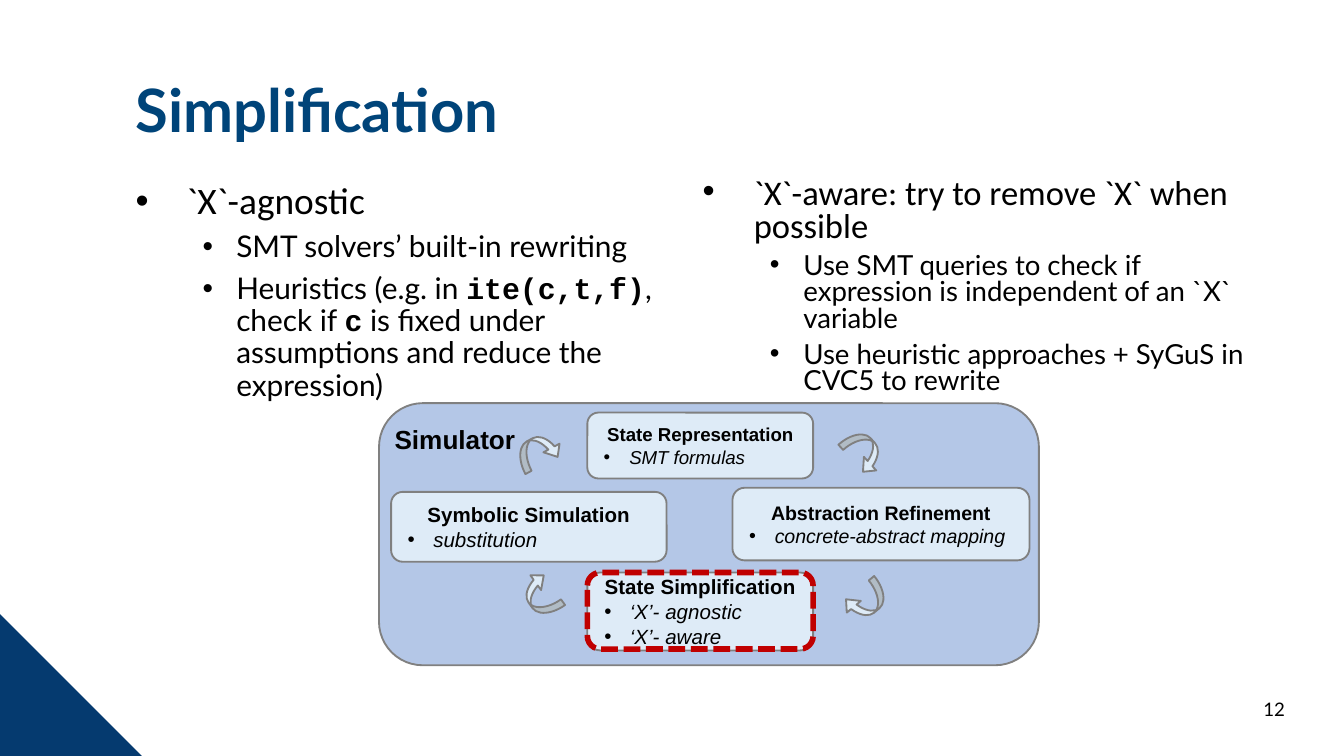
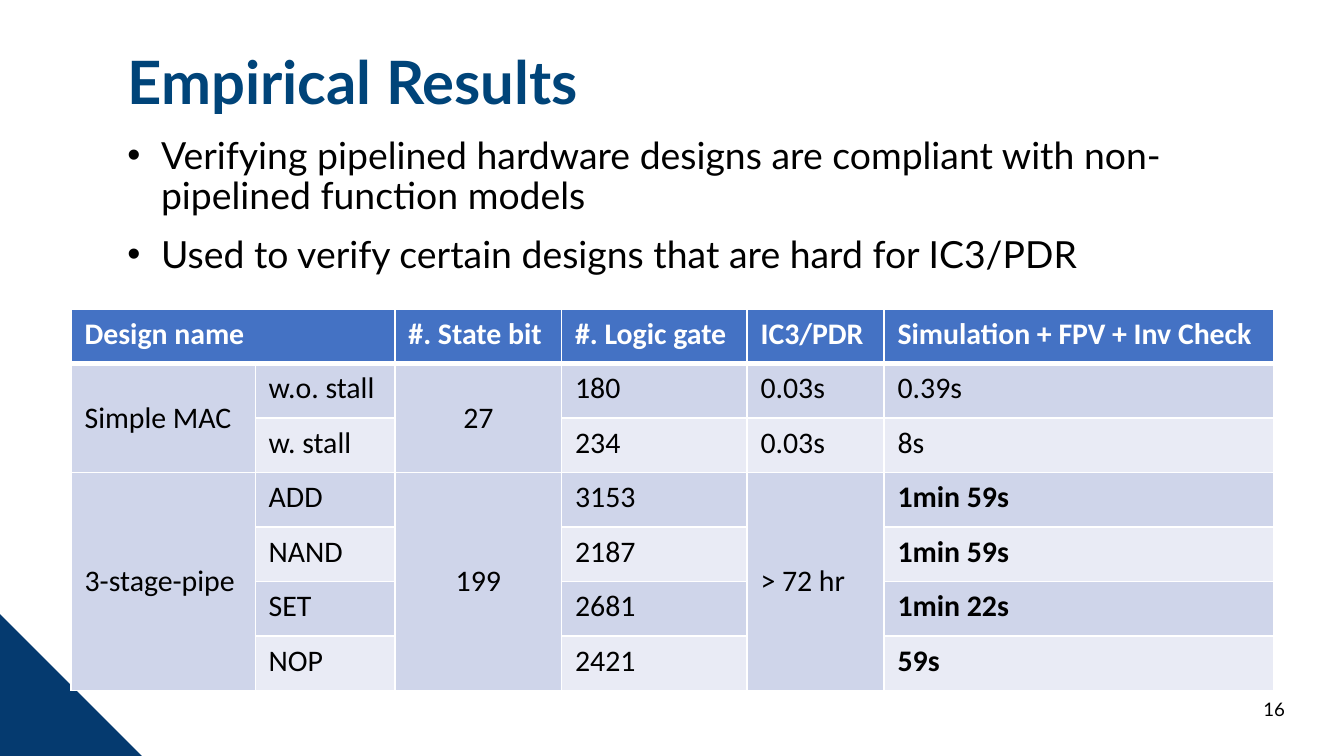
from lxml import etree
from pptx import Presentation
from pptx.dml.color import RGBColor
from pptx.enum import dml, shapes, text
from pptx.oxml import ns
from pptx import util as u

PX = 9144
NAVY, TITLE_BLUE, BLACK, WHITE = "053A6F", "004479", "000000", "FFFFFF"
PANEL, PALE, GRAY, RED = "B4C7E7", "DEEBF7", "808080", "C00000"
HEADER, BAND_DARK, BAND_LIGHT = "4472C4", "CFD5EA", "E9EBF5"
LEFT, CENTER, RIGHT = text.PP_ALIGN.LEFT, text.PP_ALIGN.CENTER, text.PP_ALIGN.RIGHT
MIDDLE = text.MSO_ANCHOR.MIDDLE
KIND = shapes.MSO_SHAPE
ink = RGBColor.from_string


def write(frame, words, font="Lato", size=16, color=BLACK, bold=False, italic=False,
          align=LEFT, hang=0, indent=0, level=0, leading=None, before=None):
    paragraph = frame.paragraphs[-1]
    if paragraph.runs:
        paragraph = frame.add_paragraph()
    paragraph.alignment, paragraph.level = align, level
    if leading:
        paragraph.line_spacing = leading
    if before:
        paragraph.space_before = u.Pt(before)
    if hang:
        props = paragraph._p.get_or_add_pPr()
        props.set("marL", str(indent * PX))
        props.set("indent", str(-hang * PX))
        etree.SubElement(props, ns.qn("a:buFont"), typeface="Arial")
        etree.SubElement(props, ns.qn("a:buChar"), char="•")
    for number, piece in enumerate(words.split("|")):
        is_code = number % 2 == 1
        run = paragraph.add_run()
        run.text = piece
        run.font.name = "Courier New" if is_code else font
        run.font.size = u.Pt(size)
        run.font.bold = bold or is_code
        run.font.italic = italic
        run.font.color.rgb = ink(color)


def draw(slide, kind, at, fill=None, line=None, weight=1, turn=0, adjust=()):
    box = [length * PX for length in at]
    if kind is None:
        shape = slide.shapes.add_textbox(*box)
    else:
        shape = slide.shapes.add_shape(kind, *box)
        shape.shadow.inherit = False
        shape.rotation = turn
        for number, value in enumerate(adjust):
            shape.adjustments[number] = value
        if fill:
            shape.fill.solid()
            shape.fill.fore_color.rgb = ink(fill)
        else:
            shape.fill.background()
        if line:
            shape.line.color.rgb = ink(line)
            shape.line.width = u.Pt(weight)
        else:
            shape.line.fill.background()
    shape.text_frame.word_wrap = True
    return shape


deck = Presentation()
deck.slide_width = 1000 * PX
deck.slide_height = deck.slide_width * 9 // 16

pages = []
for heading, left, top, page_number in [("Simplification", 91, 53, "12"),
                                        ("Empirical Results", 85, 32, "16")]:
    page = deck.slides.add_slide(deck.slide_layouts[6])
    draw(page, KIND.RIGHT_TRIANGLE, (-1, 456, 107, 107), fill=NAVY)
    title = draw(page, None, (left, top, 859, 63)).text_frame
    title.vertical_anchor = MIDDLE
    write(title, heading, size=32, color=TITLE_BLUE, bold=True, leading=0.9)
    footer = draw(page, None, (733, 514, 233, 30)).text_frame
    write(footer, page_number, size=10, align=RIGHT)
    pages.append(page)
simplification, results = pages

approaches = [
    ((91, 131, 442, 163), 0.9, 20, 16, "`X`-agnostic",
     ["SMT solvers’ built-in rewriting",
      "Heuristics (e.g. in |ite(c,t,f)|, check if |c| is fixed under assumptions "
      "and reduce the expression)"]),
    ((513, 128, 442, 163), 0.8, 18.5, 14.8, "`X`-aware: try to remove `X` when possible",
     ["Use SMT queries to check if expression is independent of an `X` variable",
      "Use heuristic approaches + SyGuS in CVC5 to rewrite"]),
]
for at, leading, lead_size, detail_size, lead, details in approaches:
    approach = draw(simplification, None, at).text_frame
    write(approach, lead, font="Calibri", size=lead_size, hang=38, indent=38,
          leading=leading, before=10)
    for detail in details:
        write(approach, detail, size=detail_size, hang=25, indent=75, level=1,
              leading=leading, before=5)

draw(simplification, KIND.ROUNDED_RECTANGLE, (282, 300, 491, 195), PANEL, GRAY)
simulator = draw(simplification, None, (278, 310, 121, 34)).text_frame
write(simulator, "Simulator", font="Arial", size=14, bold=True, align=CENTER)

stages = [
    ((437, 307, 168, 49), 10, "State Representation", ["SMT formulas"]),
    ((545, 363, 221, 54), 10.5, "Abstraction Refinement", ["concrete-abstract mapping"]),
    ((437, 426, 168, 58), 11, "State Simplification", ["‘X’- agnostic", "‘X’- aware"]),
    ((291, 366, 205, 52), 11, "Symbolic Simulation", ["substitution"]),
]
for at, size, name, methods in stages:
    stage = draw(simplification, KIND.ROUNDED_RECTANGLE, at, PALE, GRAY).text_frame
    stage.vertical_anchor = MIDDLE
    write(stage, name, font="Arial", size=size, bold=True, align=CENTER)
    for method in methods:
        write(stage, method, font="Arial", size=size, italic=True, hang=19, indent=19)

for left, top, turn in [(626, 326, 47.8), (627, 437, 140.3),
                        (385, 432, 234.2), (384, 325, 331.9)]:
    draw(simplification, KIND.CURVED_DOWN_ARROW, (left, top, 34, 21), PALE, GRAY,
         turn=turn, adjust=(0.25, 0.65, 0.38))

highlight = draw(simplification, KIND.ROUNDED_RECTANGLE, (437, 426, 168, 57),
                 line=RED, weight=3, adjust=(0.17,))
highlight.line.dash_style = dml.MSO_LINE.SQUARE_DOT

findings = draw(results, None, (85, 97, 859, 337)).text_frame
for finding in ["Verifying pipelined hardware designs are compliant with non-pipelined "
                "function models",
                "Used to verify certain designs that are hard for IC3/PDR"]:
    write(findings, finding, size=20, hang=25, indent=25, leading=0.9, before=10)

timings = [
    ["Design name", "", "#. State bit", "#. Logic gate", "IC3/PDR",
     "Simulation + FPV + Inv Check"],
    ["Simple MAC", "w.o. stall", "27", "180", "0.03s", "0.39s"],
    ["", "w. stall", "", "234", "0.03s", "8s"],
    ["3-stage-pipe", "ADD", "199", "3153", "> 72 hr", "1min 59s"],
    ["", "NAND", "", "2187", "", "1min 59s"],
    ["", "SET", "", "2681", "", "1min 22s"],
    ["", "NOP", "", "2421", "", "59s"],
]
merges = [(0, 0, 0, 1), (1, 0, 2, 0), (1, 2, 2, 2), (3, 0, 6, 0), (3, 2, 6, 2), (3, 4, 6, 4)]
table = results.shapes.add_table(len(timings), len(timings[0]), 53 * PX, 230 * PX,
                                 895 * PX, 284 * PX).table
for column, width in zip(table.columns, [137, 104, 124, 138, 102, 290]):
    column.width = width * PX
for row in table.rows:
    row.height = 284 * PX // len(timings)

for r, values in enumerate(timings):
    for c, value in enumerate(values):
        cell = table.cell(r, c)
        is_header = r == 0
        tall = any(top <= r <= bottom and c == left and bottom > top
                   for top, left, bottom, right in merges)
        band = BAND_DARK if tall or r % 2 else BAND_LIGHT
        cell.fill.solid()
        cell.fill.fore_color.rgb = ink(HEADER if is_header else band)
        if tall:
            cell.vertical_anchor = MIDDLE
        if value:
            write(cell.text_frame, value, font="Calibri",
                  color=WHITE if is_header else BLACK,
                  bold=is_header or (c == 5 and r >= 3),
                  align=CENTER if tall and c == 2 else LEFT)
        for place, side in enumerate("LRTB"):
            thick = (r, side) in [(0, "B"), (1, "T")]
            border = etree.Element(ns.qn(f"a:ln{side}"), w=str(u.Pt(3 if thick else 1)))
            paint = etree.SubElement(border, ns.qn("a:solidFill"))
            etree.SubElement(paint, ns.qn("a:srgbClr"), val=WHITE)
            cell._tc.get_or_add_tcPr().insert(place, border)

for top, left, bottom, right in merges:
    table.cell(top, left).merge(table.cell(bottom, right))

deck.save("out.pptx")
